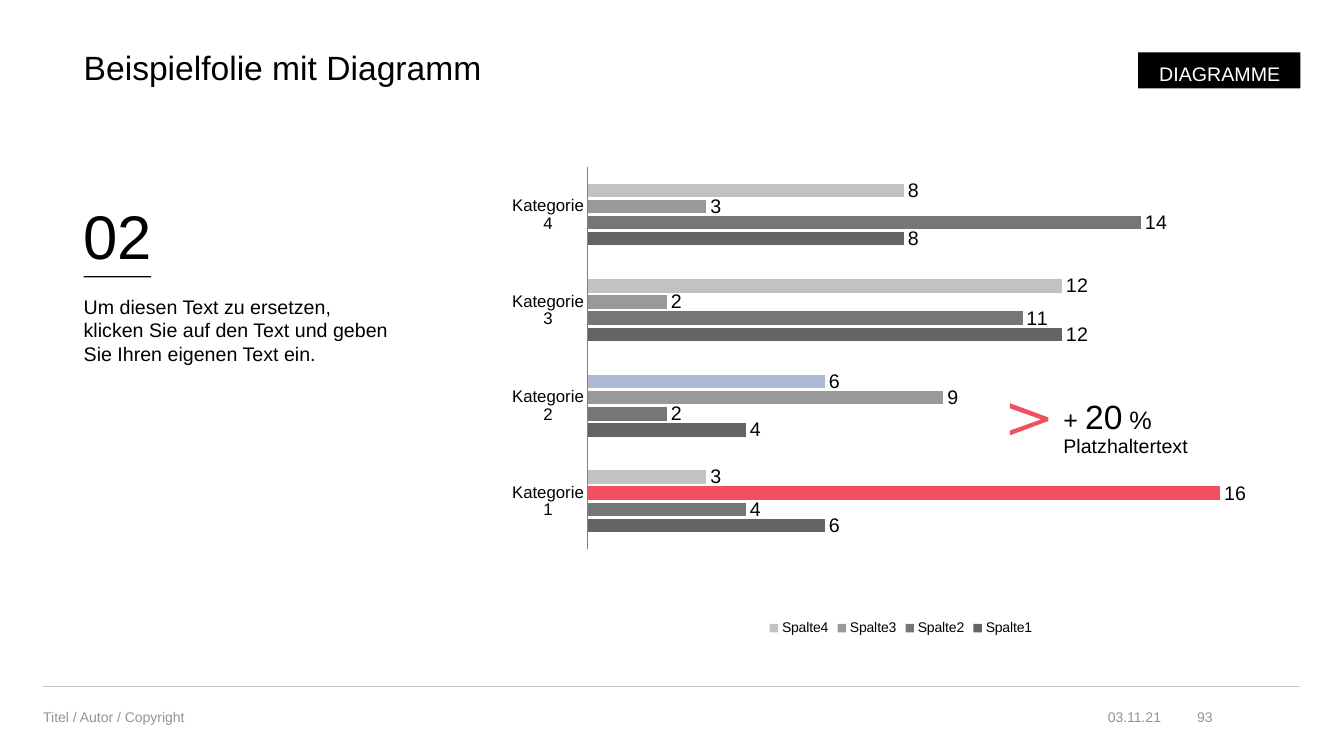
from lxml import etree
from pptx import Presentation
from pptx import util as u
from pptx.chart.data import CategoryChartData
from pptx.dml.color import RGBColor
from pptx.enum import chart as ch, shapes, text
from pptx.oxml import parse_xml
from pptx.oxml.ns import nsdecls, qn

BLACK = RGBColor(0x00, 0x00, 0x00)
WHITE = RGBColor(0xFF, 0xFF, 0xFF)
RED = RGBColor(0xF1, 0x50, 0x60)
BLUE = RGBColor(0xAD, 0xB8, 0xD3)
FOOTER_GREY = RGBColor(0x94, 0x94, 0x94)
RULE_GREY = RGBColor(0xC5, 0xC5, 0xC5)
AXIS_GREY = RGBColor(0x80, 0x80, 0x80)
TOP, MIDDLE, BOTTOM = (text.MSO_ANCHOR.TOP, text.MSO_ANCHOR.MIDDLE,
                       text.MSO_ANCHOR.BOTTOM)
RIGHT = text.PP_ALIGN.RIGHT

CATEGORIES = [f"Kategorie {i}" for i in range(1, 5)]
# name, values, bar colour, highlighted points
SERIES = [
    ("Spalte1", (6, 4, 12, 8), RGBColor(0x64, 0x64, 0x64), {}),
    ("Spalte2", (4, 2, 11, 14), RGBColor(0x76, 0x76, 0x76), {}),
    ("Spalte3", (16, 9, 2, 3), RGBColor(0x99, 0x99, 0x99), {0: RED}),
    ("Spalte4", (3, 6, 12, 8), RGBColor(0xC2, 0xC2, 0xC2), {1: BLUE}),
]
CHEVRON = [(25.45, 10.16), (26.42, 10.52), (26.42, 10.61), (25.45, 10.97),
           (25.45, 10.85), (26.24, 10.57), (25.45, 10.29)]


def write(tf, runs, size=14, color=BLACK, font="Arial", align=None, anchor=TOP,
          spacing=None, after=None, inset=(0, 0), wrap=True):
    """Fill a text frame with one paragraph; runs is a string or (string, size) pairs."""
    tf.word_wrap = wrap
    tf.auto_size = text.MSO_AUTO_SIZE.NONE
    tf.vertical_anchor = anchor
    tf.margin_left = tf.margin_right = u.Cm(inset[0])
    tf.margin_top = tf.margin_bottom = u.Cm(inset[1])
    p = tf.paragraphs[0]
    p.alignment = align
    p.line_spacing = spacing
    p.space_after = after
    for words, points in [(runs, size)] if isinstance(runs, str) else runs:
        for i, line in enumerate(words.split("\n")):
            if i:
                p.add_line_break()
            if line:
                r = p.add_run()
                r.text = line
                style(r.font, points, color, font)


def style(font, size, color=BLACK, name="Arial"):
    font.name, font.size, font.bold = name, u.Pt(size), False
    font.color.rgb = color


def fill(target, color):
    target.format.fill.solid()
    target.format.fill.fore_color.rgb = color


class Deck:
    def __init__(self, width, height):
        self.prs = Presentation()
        self.prs.slide_width, self.prs.slide_height = u.Cm(width), u.Cm(height)
        self.s = None

    def titled_slide(self, words, *box):
        self.s = self.prs.slides.add_slide(self.prs.slide_layouts[5])
        sp = self.s.shapes.title
        sp.left, sp.top, sp.width, sp.height = map(u.Cm, box)
        write(sp.text_frame, words, size=24, align=text.PP_ALIGN.LEFT, spacing=0.9)

    def label(self, runs, *box, **fmt):
        sp = self.s.shapes.add_textbox(*map(u.Cm, box))
        write(sp.text_frame, runs, **fmt)

    def plain(self, sp, color):
        sp.shadow.inherit = False
        sp.fill.solid()
        sp.fill.fore_color.rgb = color
        sp.line.fill.background()
        return sp

    def rect(self, color, *box):
        kind = shapes.MSO_SHAPE.RECTANGLE
        return self.plain(self.s.shapes.add_shape(kind, *map(u.Cm, box)), color)

    def outline(self, color, points):
        pts = [(u.Cm(x), u.Cm(y)) for x, y in points]
        builder = self.s.shapes.build_freeform(*pts[0])
        builder.add_line_segments(pts[1:], close=True)
        self.plain(builder.convert_to_shape(), color)

    def line(self, color, points, *ends):
        cxn = self.s.shapes.add_connector(shapes.MSO_CONNECTOR.STRAIGHT, *map(u.Cm, ends))
        cxn.line.color.rgb, cxn.line.width = color, u.Pt(points)
        etree.SubElement(cxn._element.spPr, qn("a:effectLst"))

    def bar_chart(self, categories, series, *box):
        data = CategoryChartData()
        data.categories = categories
        for name, values, _, _ in series:
            data.add_series(name, values)
        chart = self.s.shapes.add_chart(
            ch.XL_CHART_TYPE.BAR_CLUSTERED, *map(u.Cm, box), data).chart
        style(chart.font, 18)
        chart.has_title = False
        chart.has_legend = True
        chart.legend.position = ch.XL_LEGEND_POSITION.BOTTOM
        chart.legend.include_in_layout = False
        style(chart.legend.font, 10)

        axis = chart.category_axis
        axis.major_tick_mark = axis.minor_tick_mark = ch.XL_TICK_MARK.NONE
        axis.format.line.color.rgb = AXIS_GREY
        axis.format.line.width = u.Pt(0.75)
        style(axis.tick_labels.font, 12)
        values_axis = chart.value_axis
        values_axis.visible = values_axis.has_major_gridlines = False
        values_axis.minimum_scale, values_axis.maximum_scale = 0, 18

        plot = chart.plots[0]
        plot.gap_width, plot.overlap, plot.vary_by_categories = 250, -20, False
        for bars, (_, _, color, highlights) in zip(plot.series, series):
            fill(bars, color)
            for i, accent in highlights.items():
                fill(bars.points[i], accent)
            labels = bars.data_labels
            labels.show_value = True
            labels.position = ch.XL_LABEL_POSITION.OUTSIDE_END
            style(labels.font, 14)
        self.place_plot(chart, x=0.107, y=0.001, w=0.893, h=0.807)

    def place_plot(self, chart, **fractions):
        """Fix the inner plot area as fractions of the chart frame."""
        area = chart._chartSpace.chart.plotArea
        for old in area.findall(qn("c:layout")):
            area.remove(old)
        sizes = "".join(f'<c:{k} val="{v}"/>' for k, v in fractions.items())
        area.insert(0, parse_xml(
            f'<c:layout {nsdecls("c")}><c:manualLayout><c:layoutTarget val="inner"/>'
            f'<c:xMode val="edge"/><c:yMode val="edge"/>{sizes}'
            '</c:manualLayout></c:layout>'))


def main():
    deck = Deck(33.87, 19.05)
    deck.titled_slide("Beispielfolie mit Diagramm", 2.11, 1.3, 30.66, 0.91)

    deck.line(RULE_GREY, 0.5, 1.09, 17.3, 32.77, 17.3)
    for words, left, width, align in [("Titel / Autor / Copyright", 1.09, 15.42, None),
                                      ("03.11.21", 27.36, 1.9, RIGHT),
                                      ("93", 29.77, 0.79, RIGHT)]:
        deck.label(words, left, 17.58, width, 0.99, size=10, color=FOOTER_GREY,
                   align=align, anchor=MIDDLE)

    deck.label("02", 2.11, 4.19, 9.5, 2.69, size=44, anchor=BOTTOM, spacing=0.9)
    deck.rect(BLACK, 2.11, 6.96, 1.7, 0.03)
    deck.label("Um diesen Text zu ersetzen,\nklicken Sie auf den Text und geben\n"
               "Sie Ihren eigenen Text ein.", 2.11, 7.42, 9.5, 8.71)

    deck.bar_chart(CATEGORIES, SERIES, 12.67, 4.19, 20.07, 11.94)
    deck.outline(RED, CHEVRON)
    deck.label([("+ ", 18), ("20", 24), (" %\n", 18), ("Platzhaltertext", 14)],
               26.8, 10.08, 3.96, 1.63, spacing=0.9, after=u.Pt(10))

    tag = deck.rect(BLACK, 28.68, 1.32, 4.09, 0.91)
    write(tag.text_frame, "DIAGRAMME", color=WHITE, align=RIGHT, spacing=1.2,
          after=u.Pt(10), inset=(0.5, 0.13), wrap=False)
    deck.prs.save("out.pptx")


if __name__ == "__main__":
    main()
